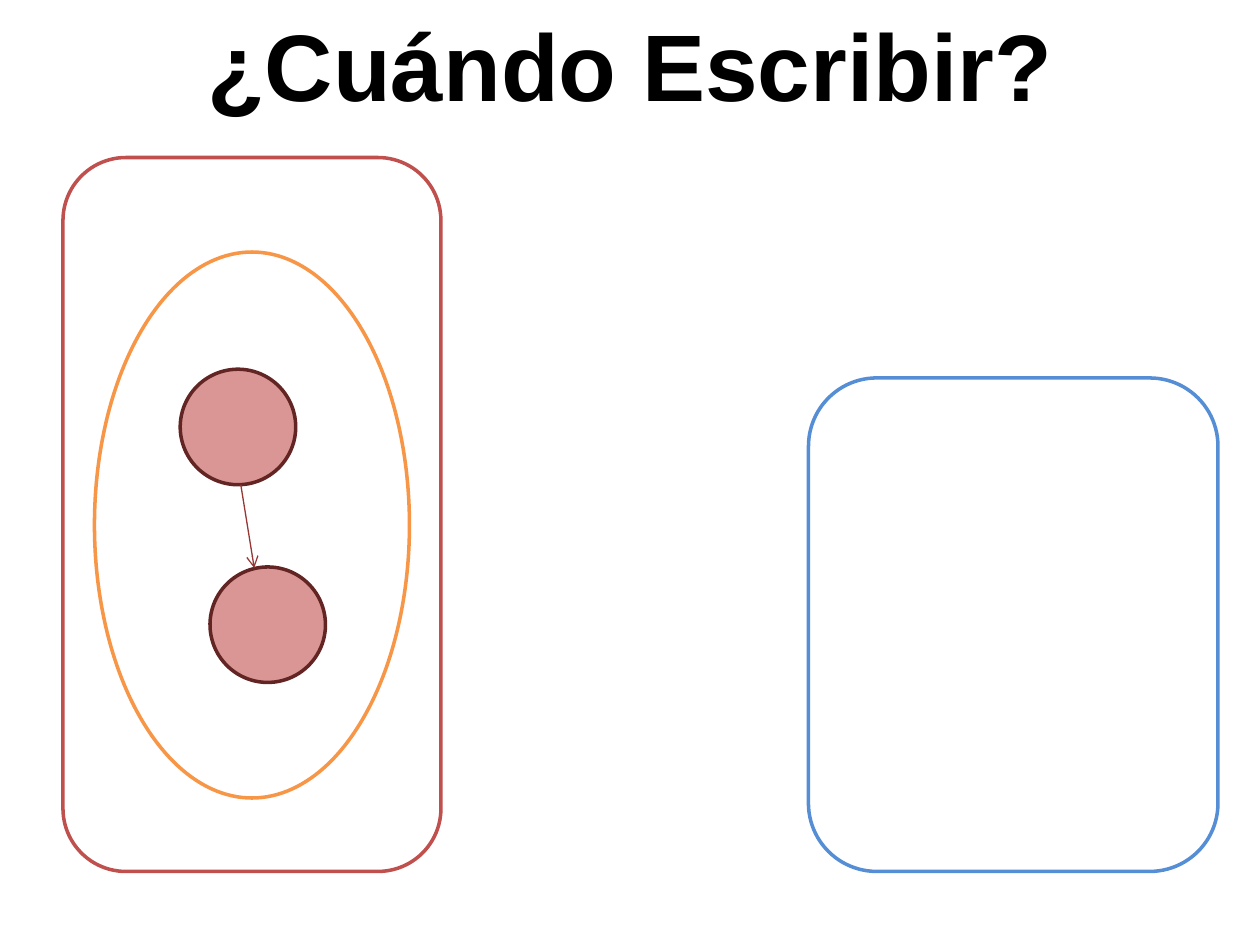
from lxml import etree
from pptx import Presentation
from pptx.dml.color import RGBColor
from pptx.enum.shapes import MSO_CONNECTOR, MSO_SHAPE
from pptx.enum.text import MSO_ANCHOR, PP_ALIGN
from pptx.oxml.ns import qn
from pptx.util import Pt

OVAL = MSO_SHAPE.OVAL
ROUND = MSO_SHAPE.ROUNDED_RECTANGLE
NODE = MSO_SHAPE.FLOWCHART_CONNECTOR
STRAIGHT = MSO_CONNECTOR.STRAIGHT
CENTER = PP_ALIGN.CENTER
MIDDLE = MSO_ANCHOR.MIDDLE


def color(code):
    return RGBColor.from_string(code)


class Board:
    """Holds the style and the current slide."""

    font = "Arial"
    ink = "000000"
    width = 2
    size = 66

    def __init__(self, deck):
        self.slide = deck.slides.add_slide(deck.slide_layouts[5])
        self.shapes = self.slide.shapes

    def title(self, text, x, y, w, h):
        box = self.shapes.title
        box.left, box.top, box.width, box.height = Pt(x), Pt(y), Pt(w), Pt(h)
        frame = box.text_frame
        frame.word_wrap = True
        frame.vertical_anchor = MIDDLE
        para = frame.paragraphs[0]
        para.alignment = CENTER
        run = para.add_run()
        run.text = text
        run.font.name = self.font
        run.font.size = Pt(54)
        run.font.bold = True
        run.font.color.rgb = color(self.ink)

    def shape(self, kind, x, y, w, h, line, fill=None):
        item = self.shapes.add_shape(kind, Pt(x), Pt(y), Pt(w), Pt(h))
        item.shadow.inherit = False
        if fill:
            item.fill.solid()
            item.fill.fore_color.rgb = color(fill)
        else:
            item.fill.background()
        item.line.color.rgb = color(line)
        item.line.width = Pt(self.width)
        return item

    def node(self, x, y, turn):
        item = self.shape(NODE, x, y, self.size, self.size, "632523", "D99694")
        item.rotation = turn

    def arrow(self, x1, y1, x2, y2, line):
        item = self.shapes.add_connector(STRAIGHT, Pt(x1), Pt(y1), Pt(x2), Pt(y2))
        item.line.color.rgb = color(line)
        item.line.width = Pt(0.75)
        etree.SubElement(item.line._get_or_add_ln(), qn("a:tailEnd"), type="arrow")
        etree.SubElement(item._element.spPr, qn("a:effectLst"))


def main():
    deck = Presentation()
    deck.slide_width, deck.slide_height = Pt(720), Pt(540)
    board = Board(deck)
    board.title("¿Cuándo Escribir?", 0, 0, 720, 72.7)
    board.shape(OVAL, 54, 144, 180, 312, "F79646", "FFFFFF")
    board.shape(ROUND, 36, 90, 216, 408, "C0504D")
    board.shape(ROUND, 462, 216, 234, 282, "558ED5")
    board.node(120, 324, 76.2)
    board.node(103, 211, 357.2)
    board.arrow(137.6, 277, 145.3, 324.6, "953735")
    deck.save("out.pptx")


if __name__ == "__main__":
    main()
